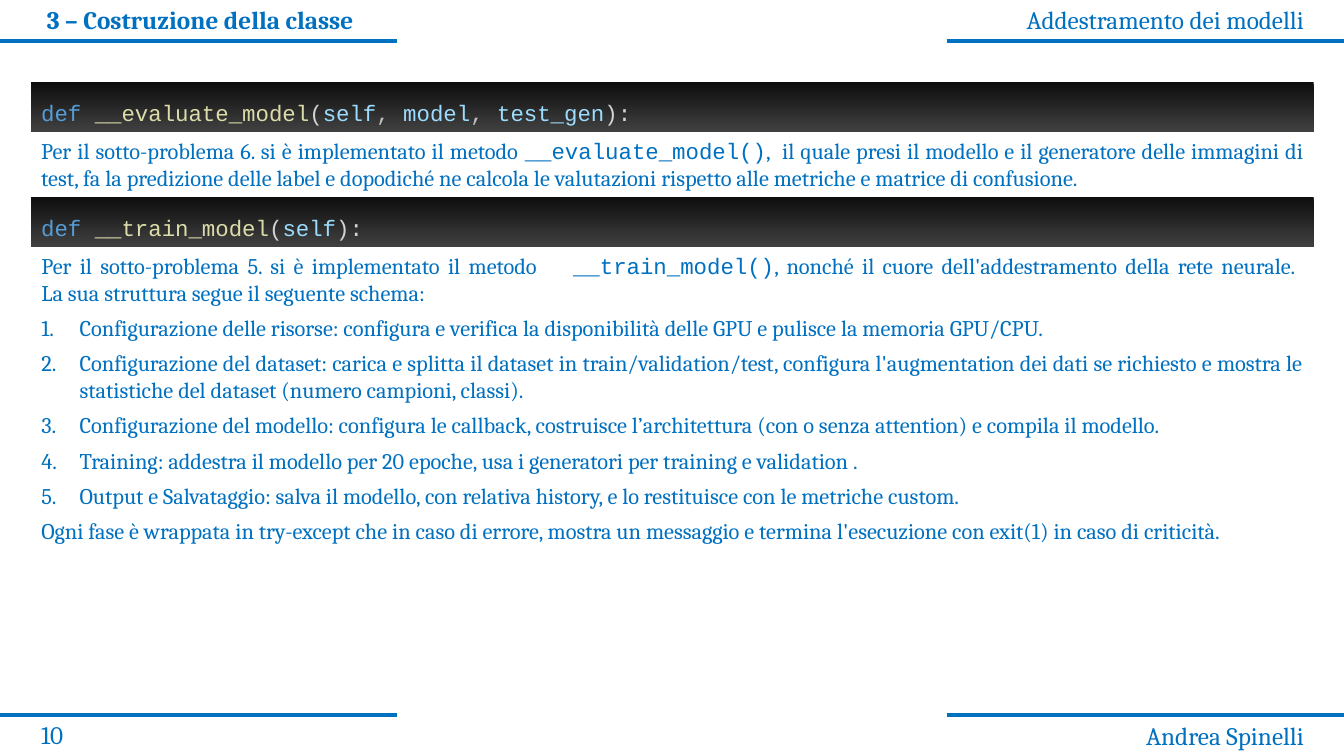
from pptx import Presentation
from pptx.dml.color import RGBColor
from pptx.enum import shapes, text
from pptx.oxml.xmlchemy import OxmlElement
from pptx.util import Inches, Pt

BLUE = RGBColor(0x00, 0x70, 0xC0)
KEYWORD = RGBColor(0x56, 0x9C, 0xD6)
FUNCTION = RGBColor(0xDC, 0xDC, 0xAA)
BRACKET = RGBColor(0xD4, 0xD4, 0xD4)
PARAMETER = RGBColor(0x9C, 0xDC, 0xFE)
COMMA = RGBColor(0xBF, 0xBF, 0xBF)
CODE_TOP = RGBColor(0x0D, 0x0D, 0x0D)
CODE_BOTTOM = RGBColor(0x40, 0x40, 0x40)
SERIF, MONO = "Cambria", "Courier New"

SLIDE_W, SLIDE_H = 13.33, 7.5
MARGIN, CORNER_W, CORNER_H = 0.31, 3.94, 0.4
CONTENT_W = SLIDE_W - 2 * MARGIN + 0.01
RIGHT_X = SLIDE_W - MARGIN - CORNER_W + 0.01
RULE_YS = (0.41, 7.09)

TITLE = " 3 – Costruzione della classe"
CORNERS = [
    ("10", MARGIN, 7.09, text.PP_ALIGN.LEFT),
    ("Andrea Spinelli", RIGHT_X, 7.1, text.PP_ALIGN.RIGHT),
    ("Addestramento dei modelli", RIGHT_X, -0.01, text.PP_ALIGN.RIGHT),
]
SIGNATURES = [
    (0.81, [("def ", KEYWORD), ("__evaluate_model", FUNCTION), ("(", BRACKET),
            ("self", PARAMETER), (",", COMMA), (" model", PARAMETER), (", ", COMMA),
            ("test_gen", PARAMETER), ("):", BRACKET)]),
    (1.95, [("def ", KEYWORD), ("__train_model", FUNCTION), ("(", BRACKET),
            ("self", PARAMETER), ("):", BRACKET)]),
]
EVALUATE = [
    ("Per il sotto-problema 6. si è implementato il metodo ", SERIF),
    ("__evaluate_model()", MONO),
    (",  il quale presi il modello e il generatore delle immagini di test, fa la predizione "
     "delle label e dopodiché ne calcola le valutazioni rispetto alle metriche e matrice di "
     "confusione.", SERIF),
]
TRAIN = [
    ("Per il sotto-problema 5. si è implementato il metodo\t", SERIF),
    ("__train_model()", MONO),
    (", nonché il cuore dell'addestramento della rete neurale. ", SERIF),
]
TRAIN_END = "La sua struttura segue il seguente schema:"
STEPS = [
    "Configurazione delle risorse: configura e verifica la disponibilità delle GPU e pulisce "
    "la memoria GPU/CPU.",
    "Configurazione del dataset: carica e splitta il dataset in train/validation/test, configura "
    "l'augmentation dei dati se richiesto e mostra le statistiche del dataset (numero campioni, "
    "classi).",
    "Configurazione del modello: configura le callback, costruisce l’architettura (con o senza "
    "attention) e compila il modello.",
    "Training: addestra il modello per 20 epoche, usa i generatori per training e validation .",
    "Output e Salvataggio: salva il modello, con relativa history, e lo restituisce con le "
    "metriche custom.",
]
CLOSING = ("Ogni fase è wrappata in try-except che in caso di errore, mostra un messaggio e "
           "termina l'esecuzione con exit(1) in caso di criticità.")


def place(sp, x, y, w, h):
    sp.left, sp.top, sp.width, sp.height = (Inches(v) for v in (x, y, w, h))
    tf = sp.text_frame
    tf.word_wrap = True
    tf.auto_size = text.MSO_AUTO_SIZE.NONE
    tf.vertical_anchor = text.MSO_ANCHOR.TOP
    return tf


def add_run(p, words, size, font=SERIF, color=BLUE, bold=False):
    r = p.add_run()
    r.text = words
    r.font.size, r.font.name, r.font.bold = Pt(size), font, bold
    r.font.color.rgb = color


def format_body(p, numbered=False):
    p.alignment = text.PP_ALIGN.JUSTIFY
    p.space_before, p.space_after = Pt(0), Pt(6)
    pPr = p._p.get_or_add_pPr()
    indent = Inches(0.38) if numbered else 0
    pPr.set("marL", str(indent))
    pPr.set("indent", str(-indent))
    if numbered:
        bullet = OxmlElement("a:buAutoNum")
        bullet.set("type", "arabicPeriod")
    else:
        bullet = OxmlElement("a:buNone")
    pPr.append(bullet)


def add_rule(s, x1, x2, y):
    line = s.shapes.add_connector(shapes.MSO_CONNECTOR.STRAIGHT,
                                  Inches(x1), Inches(y), Inches(x2), Inches(y))
    line.line.color.rgb = BLUE
    line.line.width = Pt(3)
    line._element.spPr.append(OxmlElement("a:effectLst"))


def add_signature(s, y, tokens):
    sp = s.shapes.add_shape(shapes.MSO_SHAPE.RECTANGLE, 0, 0, 0, 0)
    sp.shadow.inherit = False
    sp.line.fill.background()
    sp.fill.gradient()
    sp.fill.gradient_angle = 270
    for stop, color in zip(sp.fill.gradient_stops, (CODE_TOP, CODE_BOTTOM)):
        stop.color.rgb = color
    for stop, position in zip(sp.fill.gradient_stops, (0, 1)):
        stop.position = position
    tf = place(sp, MARGIN, y, CONTENT_W, 0.5)
    tf.margin_top, tf.margin_bottom = Inches(0.04), Inches(0.1)
    p = tf.paragraphs[0]
    p.alignment = text.PP_ALIGN.LEFT
    p.line_spacing = 1.5
    for words, color in tokens:
        add_run(p, words, 16, MONO, color)


def main():
    prs = Presentation()
    prs.slide_width, prs.slide_height = Inches(SLIDE_W), Inches(SLIDE_H)
    s = prs.slides.add_slide(prs.slide_layouts[1])

    for y in RULE_YS:
        add_rule(s, 0, CORNER_W, y)
        add_rule(s, SLIDE_W - CORNER_W, SLIDE_W, y)

    tf = place(s.shapes.title, MARGIN, -0.01, CORNER_W, CORNER_H)
    tf.paragraphs[0].alignment = text.PP_ALIGN.LEFT
    add_run(tf.paragraphs[0], TITLE, 18, bold=True)

    for words, x, y, align in CORNERS:
        tf = place(s.shapes.add_textbox(0, 0, 0, 0), x, y, CORNER_W, CORNER_H)
        tf.paragraphs[0].alignment = align
        add_run(tf.paragraphs[0], words, 18)

    for y, tokens in SIGNATURES:
        add_signature(s, y, tokens)

    tf = place(s.shapes.add_textbox(0, 0, 0, 0), MARGIN, 1.31, CONTENT_W, 0.64)
    p = tf.paragraphs[0]
    format_body(p)
    for words, font in EVALUATE:
        add_run(p, words, 16, font)

    tf = place(s.placeholders[1], MARGIN, 2.45, CONTENT_W, 3.03)
    p = tf.paragraphs[0]
    format_body(p)
    for words, font in TRAIN:
        add_run(p, words, 16, font)
    p.add_line_break()
    add_run(p, TRAIN_END, 16)
    for words in STEPS + [CLOSING]:
        p = tf.add_paragraph()
        format_body(p, numbered=words != CLOSING)
        add_run(p, words, 16)

    prs.save("out.pptx")


if __name__ == "__main__":
    main()
